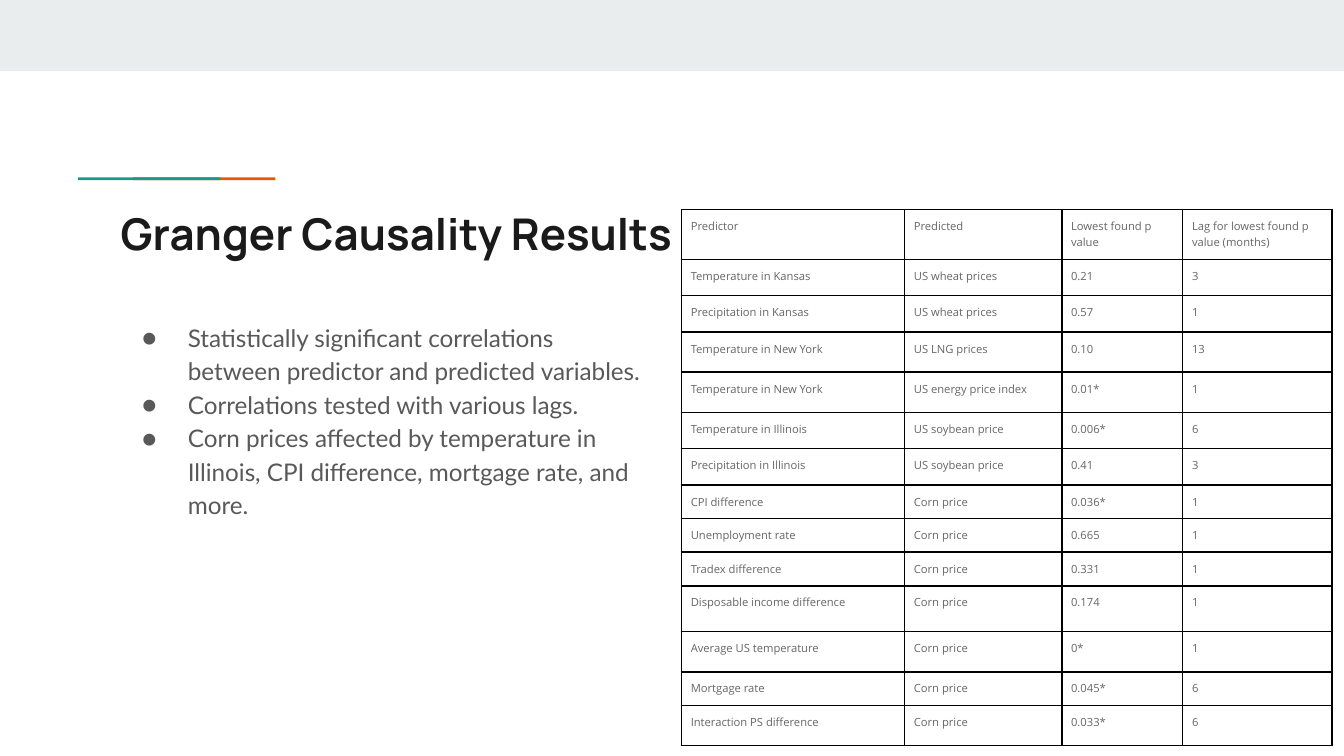
from lxml import etree
from pptx import Presentation
from pptx.dml.color import RGBColor
from pptx.enum.shapes import MSO_SHAPE
from pptx.oxml.ns import qn
from pptx.util import Inches, Pt

RECTANGLE = MSO_SHAPE.RECTANGLE
BAND_GRAY = RGBColor(0xE9, 0xED, 0xEE)
ORANGE = RGBColor(0xEB, 0x56, 0x00)
TEAL = RGBColor(0x1A, 0x99, 0x88)
TITLE_COLOR = RGBColor(0x1A, 0x1A, 0x1A)
BODY_COLOR = RGBColor(0x59, 0x59, 0x59)
TABLE_COLOR = RGBColor(0x66, 0x66, 0x66)
BORDER_COLOR = RGBColor(0x00, 0x00, 0x00)

BULLETS = [
    "Statistically significant correlations between predictor and predicted variables.",
    "Correlations tested with various lags.",
    "Corn prices affected by temperature in Illinois, CPI difference, mortgage rate, and more.",
]
COLUMN_WIDTHS = [1.66, 1.17, 0.9, 1.11]
RESULTS = [
    (0.37, "Predictor", "Predicted", "Lowest found p value", "Lag for lowest found p value (months)"),
    (0.27, "Temperature in Kansas", "US wheat prices", "0.21", "3"),
    (0.27, "Precipitation in Kansas", "US wheat prices", "0.57", "1"),
    (0.3, "Temperature in New York", "US LNG prices", "0.10", "13"),
    (0.3, "Temperature in New York", "US energy price index", "0.01*", "1"),
    (0.27, "Temperature in Illinois", "US soybean price", "0.006*", "6"),
    (0.27, "Precipitation in Illinois", "US soybean price", "0.41", "3"),
    (0.25, "CPI difference", "Corn price", "0.036*", "1"),
    (0.25, "Unemployment rate", "Corn price", "0.665", "1"),
    (0.25, "Tradex difference", "Corn price", "0.331", "1"),
    (0.34, "Disposable income difference", "Corn price", "0.174", "1"),
    (0.3, "Average US temperature", "Corn price", "0*", "1"),
    (0.25, "Mortgage rate", "Corn price", "0.045*", "6"),
    (0.3, "Interaction PS difference", "Corn price", "0.033*", "6"),
]


def add_rectangle(slide, left, top, width, height, color):
    shape = slide.shapes.add_shape(
        RECTANGLE, Inches(left), Inches(top), Inches(width), Inches(height))
    shape.shadow.inherit = False
    shape.fill.solid()
    shape.fill.fore_color.rgb = color
    shape.line.fill.background()


def add_accent(slide, left, top, width, height):
    bar_width = width * 0.72
    add_rectangle(slide, left + width - bar_width, top, bar_width, height, ORANGE)
    add_rectangle(slide, left, top, bar_width, height, TEAL)


def format_paragraph(paragraph, font_name, size, color, bold=False):
    for run in paragraph.runs:
        run.font.name = font_name
        run.font.size = Pt(size)
        run.font.color.rgb = color
        run.font.bold = bold


def add_text_frame(slide, left, top, width, height):
    text_box = slide.shapes.add_textbox(
        Inches(left), Inches(top), Inches(width), Inches(height))
    text_frame = text_box.text_frame
    text_frame.word_wrap = True
    text_frame.margin_top = text_frame.margin_bottom = Inches(0.1)
    return text_frame


def add_title(slide, left, top, width, height):
    text_frame = add_text_frame(slide, left, top, width, height)
    text_frame.text = "Granger Causality Results"
    format_paragraph(text_frame.paragraphs[0], "Manrope", 23.4, TITLE_COLOR, True)


def add_bullets(slide, left, top, width, height):
    text_frame = add_text_frame(slide, left, top, width, height)
    text_frame.text = "\n".join(BULLETS)
    for paragraph in text_frame.paragraphs:
        paragraph.line_spacing = 1.15
        format_paragraph(paragraph, "Lato", 13, BODY_COLOR)
        properties = paragraph._p.get_or_add_pPr()
        properties.set("marL", str(Inches(0.5)))
        properties.set("indent", str(Inches(-0.34)))
        bullet_color = etree.SubElement(properties, qn("a:buClr"))
        etree.SubElement(bullet_color, qn("a:srgbClr"), val=str(BODY_COLOR))
        etree.SubElement(properties, qn("a:buSzPts"), val="1300")
        etree.SubElement(properties, qn("a:buFont"), typeface="Lato")
        etree.SubElement(properties, qn("a:buChar"), char="●")


def add_borders(cell):
    properties = cell._tc.get_or_add_tcPr()
    for position, side in enumerate(("a:lnL", "a:lnR", "a:lnT", "a:lnB")):
        line = etree.Element(qn(side), w=str(Pt(1)))
        fill = etree.SubElement(line, qn("a:solidFill"))
        etree.SubElement(fill, qn("a:srgbClr"), val=str(BORDER_COLOR))
        properties.insert(position, line)


def format_cell(cell, text):
    cell.text = text
    cell.margin_left = cell.margin_right = Inches(0.07)
    cell.margin_top = cell.margin_bottom = Inches(0.07)
    cell.fill.background()
    format_paragraph(cell.text_frame.paragraphs[0], "Open Sans", 6, TABLE_COLOR)
    add_borders(cell)


def add_results_table(slide, left, top, width, height):
    table = slide.shapes.add_table(
        len(RESULTS), len(COLUMN_WIDTHS),
        Inches(left), Inches(top), Inches(width), Inches(height)).table
    table.first_row = False
    table.horz_banding = False
    for column, column_width in zip(table.columns, COLUMN_WIDTHS):
        column.width = Inches(column_width)
    for row, (row_height, *values) in zip(table.rows, RESULTS):
        row.height = Inches(row_height)
        for cell, value in zip(row.cells, values):
            format_cell(cell, value)


def main():
    presentation = Presentation()
    presentation.slide_width = Inches(10)
    presentation.slide_height = presentation.slide_width * 9 // 16
    slide = presentation.slides.add_slide(presentation.slide_layouts[6])
    add_rectangle(slide, 0, 0, 10, 0.53, BAND_GRAY)
    add_accent(slide, 0.58, 1.32, 1.47, 0.02)
    add_title(slide, 0.8, 1.44, 8.41, 0.59)
    add_bullets(slide, 0.8, 2.27, 4.13, 2.47)
    add_results_table(slide, 5.07, 1.56, 4.84, 3.99)
    presentation.save("out.pptx")


if __name__ == "__main__":
    main()
